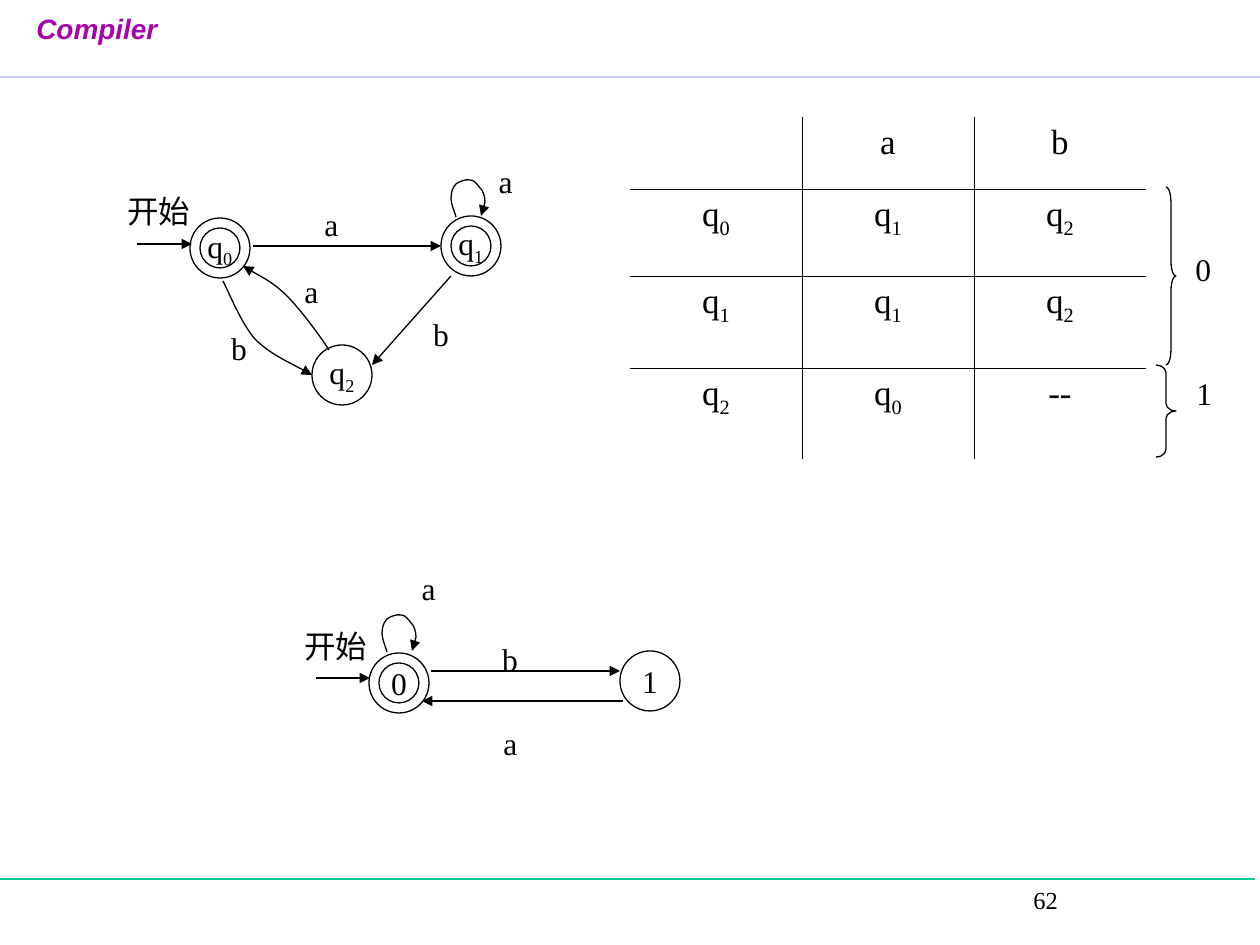
from dataclasses import dataclass

from lxml.etree import SubElement
from pptx import Presentation
from pptx.dml.color import RGBColor
from pptx.enum.shapes import MSO_CONNECTOR as Connector, MSO_SHAPE as Shape
from pptx.enum.text import MSO_ANCHOR as Anchor, MSO_AUTO_SIZE as AutoSize, PP_ALIGN as Align
from pptx.oxml.ns import qn
from pptx.util import Emu, Pt

PX = 914400 / 126


@dataclass(frozen=True)
class Theme:
    background: str = "FEFFFF"
    ink: str = "000000"
    title: str = "A603AB"
    header_rule: str = "CCCCFF"
    footer_rule: str = "00CC99"
    title_font: str = "Arial"
    body_font: str = "Times New Roman"
    title_size: int = 16
    number_size: int = 14
    label_size: int = 18
    table_size: int = 20
    stroke: float = 0.75
    header_stroke: float = 1
    cell_stroke: float = 0.45


THEME = Theme()
STATE_SIZE, INNER_SIZE, LABEL_HEIGHT = 60, 40, 50

# text, left, top, width
LABELS = [
    ("开始", 115, 186, 88), ("a", 471, 156, 69), ("a", 312, 199, 39),
    ("b", 421, 309, 40), ("a", 292, 266, 39), ("b", 219, 323, 40),
    ("开始", 292, 621, 88), ("a", 394, 563, 69), ("b", 490, 634, 40),
    ("a", 491, 718, 39),
]
# name, left, top, accepting
STATES = [
    ("q0", 190, 218, True), ("q1", 441, 216, True), ("q2", 312, 345, False),
    ("0", 369, 653, True), ("1", 620, 651, False),
]
# start x, start y, end x, end y
ARROWS = [
    (137, 244, 192, 244), (253, 246, 441, 246), (451, 276, 372, 365),
    (316, 678, 370, 678), (431, 671, 620, 671), (623, 701, 422, 701),
]
# start point, then three points for each Bézier segment
Q2_TO_Q0 = [(329, 350), (323, 340), (301, 310), (287, 296),
            (273, 282), (252, 272), (243, 266)]
Q0_TO_Q2 = [(223, 281), (228, 290), (241, 323), (255, 339),
            (270, 354), (301, 368), (312, 375)]
LOOP = [(5, 38), (4, 34), (0, 25), (0, 20), (0, 15), (1, 9), (5, 5),
        (8, 3), (14, 0), (19, 1), (23, 1), (26, 5), (29, 9),
        (32, 11), (34, 18), (34, 23), (34, 26), (30, 34), (30, 37)]
LOOP_ORIGINS = [(451, 179), (382, 614)]

TRANSITIONS = [
    ["", "a", "b"],
    ["q0", "q1", "q2"],
    ["q1", "q1", "q2"],
    ["q2", "q0", "--"],
]
COLUMN_WIDTH, ROW_HEIGHTS = 172, [72, 87, 92, 91]


def px(*lengths):
    return [Emu(round(length * PX)) for length in lengths]


def rgb(value):
    return RGBColor.from_string(value)


def add_span(para, text, size, color=THEME.ink, font=THEME.body_font):
    span = para.add_run()
    span.text = text
    span.font.size = Pt(size)
    span.font.name = font
    span.font.color.rgb = rgb(color)
    return span


def add_symbol(para, text, size):
    """Write text centred, lowering the index of a state name such as q0."""
    para.alignment = Align.CENTER
    if text.startswith("q"):
        add_span(para, "q", size)
        add_span(para, text[1:], size).font._element.set("baseline", "-25000")
    elif text:
        add_span(para, text, size)


def add_box(page, left, top, width, height, wrap=False):
    box = page.shapes.add_textbox(*px(left, top, width, height))
    box.text_frame.word_wrap = wrap
    box.text_frame.auto_size = AutoSize.NONE
    return box.text_frame.paragraphs[0]


def style_line(line, color=THEME.ink, width=THEME.stroke, arrow=False):
    line.color.rgb = rgb(color)
    line.width = Pt(width)
    if arrow:
        SubElement(line._get_or_add_ln(), qn("a:tailEnd"), type="triangle")


def add_line(page, ends, **style):
    line = page.shapes.add_connector(Connector.STRAIGHT, *px(*ends))
    style_line(line.line, **style)
    SubElement(line._element.spPr, qn("a:effectLst"))


def add_outline(page, kind, left, top, width, height):
    shape = page.shapes.add_shape(kind, *px(left, top, width, height))
    shape.shadow.inherit = False
    shape.fill.background()
    style_line(shape.line)
    return shape


def add_state(page, name, left, top, accepting):
    circle = add_outline(page, Shape.OVAL, left, top, STATE_SIZE, STATE_SIZE)
    frame = circle.text_frame
    frame.word_wrap = False
    frame.vertical_anchor = Anchor.MIDDLE
    add_symbol(frame.paragraphs[0], name, THEME.label_size)
    if accepting:
        gap = (STATE_SIZE - INNER_SIZE) // 2
        add_outline(page, Shape.OVAL, left + gap, top + gap, INNER_SIZE, INNER_SIZE)


def add_curve(page, points):
    """Draw an arrow through Bézier segments by grouping freeform points in threes."""
    builder = page.shapes.build_freeform(*points[0], scale=PX)
    builder.add_line_segments(points[1:], close=False)
    curve = builder.convert_to_shape()
    curve.shadow.inherit = False
    curve.fill.background()
    style_line(curve.line, arrow=True)
    outline = curve._element.find(".//" + qn("a:path"))
    steps = outline.findall(qn("a:lnTo"))
    for first in range(0, len(steps), 3):
        segment = SubElement(outline, qn("a:cubicBezTo"))
        for step in steps[first:first + 3]:
            segment.append(step[0])
            outline.remove(step)


def set_borders(cell, sides):
    """Draw the named sides (L, R, T, B) and clear the others."""
    properties = cell._tc.get_or_add_tcPr()
    for position, side in enumerate("LRTB"):
        border = SubElement(properties, qn(f"a:ln{side}"), w=str(Pt(THEME.cell_stroke)))
        if side in sides:
            fill = SubElement(border, qn("a:solidFill"))
            SubElement(fill, qn("a:srgbClr"), val=THEME.ink)
        else:
            SubElement(border, qn("a:noFill"))
        properties.insert(position, border)


def add_transition_table(page, left, top):
    rows, columns = len(TRANSITIONS), len(TRANSITIONS[0])
    size = px(left, top, COLUMN_WIDTH * columns, sum(ROW_HEIGHTS))
    table = page.shapes.add_table(rows, columns, *size).table
    table.first_row = table.horz_banding = False
    for column in table.columns:
        column.width = px(COLUMN_WIDTH)[0]
    for r, values in enumerate(TRANSITIONS):
        table.rows[r].height = px(ROW_HEIGHTS[r])[0]
        for c, value in enumerate(values):
            cell = table.cell(r, c)
            cell.fill.background()
            inner = {"L": c > 0, "R": c < columns - 1, "T": r > 0, "B": r < rows - 1}
            set_borders(cell, [side for side, drawn in inner.items() if drawn])
            add_symbol(cell.text_frame.paragraphs[0], value, THEME.table_size)


def add_group(page, name, brace, radius, label):
    """Bracket table rows as one group; radius is relative to the brace width."""
    shape = add_outline(page, Shape.RIGHT_BRACE, *brace)
    shape.adjustments[0] = radius
    add_span(add_box(page, *label, 40, LABEL_HEIGHT), name, THEME.label_size)


def add_frame(page):
    add_line(page, (0, 879, 1255, 879), color=THEME.footer_rule)
    add_line(page, (0, 77, 1260, 77), color=THEME.header_rule, width=THEME.header_stroke)
    title = add_span(add_box(page, 24, 5, 129, 71), "Compiler",
                     THEME.title_size, THEME.title, THEME.title_font)
    title.font.bold = title.font.italic = True
    number = add_box(page, 868, 879, 387, 63, wrap=True)
    number._p.get_or_add_pPr().set("marL", str(px(153)[0]))
    add_span(number, "62", THEME.number_size)


def main():
    deck = Presentation()
    deck.slide_width, deck.slide_height = px(1260, 945)
    page = deck.slides.add_slide(deck.slide_layouts[6])
    page.background.fill.solid()
    page.background.fill.fore_color.rgb = rgb(THEME.background)
    add_frame(page)
    for state in STATES:
        add_state(page, *state)
    for ends in ARROWS:
        add_line(page, ends, arrow=True)
    loops = [[(left + x, top + y) for x, y in LOOP] for left, top in LOOP_ORIGINS]
    for points in [Q2_TO_Q0, Q0_TO_Q2, *loops]:
        add_curve(page, points)
    for text, left, top, width in LABELS:
        add_symbol(add_box(page, left, top, width, LABEL_HEIGHT), text, THEME.label_size)
    add_transition_table(page, 630, 117)
    add_group(page, "0", (1166, 187, 10, 178), 1.5, (1183, 244))
    add_group(page, "1", (1156, 365, 20, 92), 0.38, (1184, 368))
    deck.save("out.pptx")


if __name__ == "__main__":
    main()
